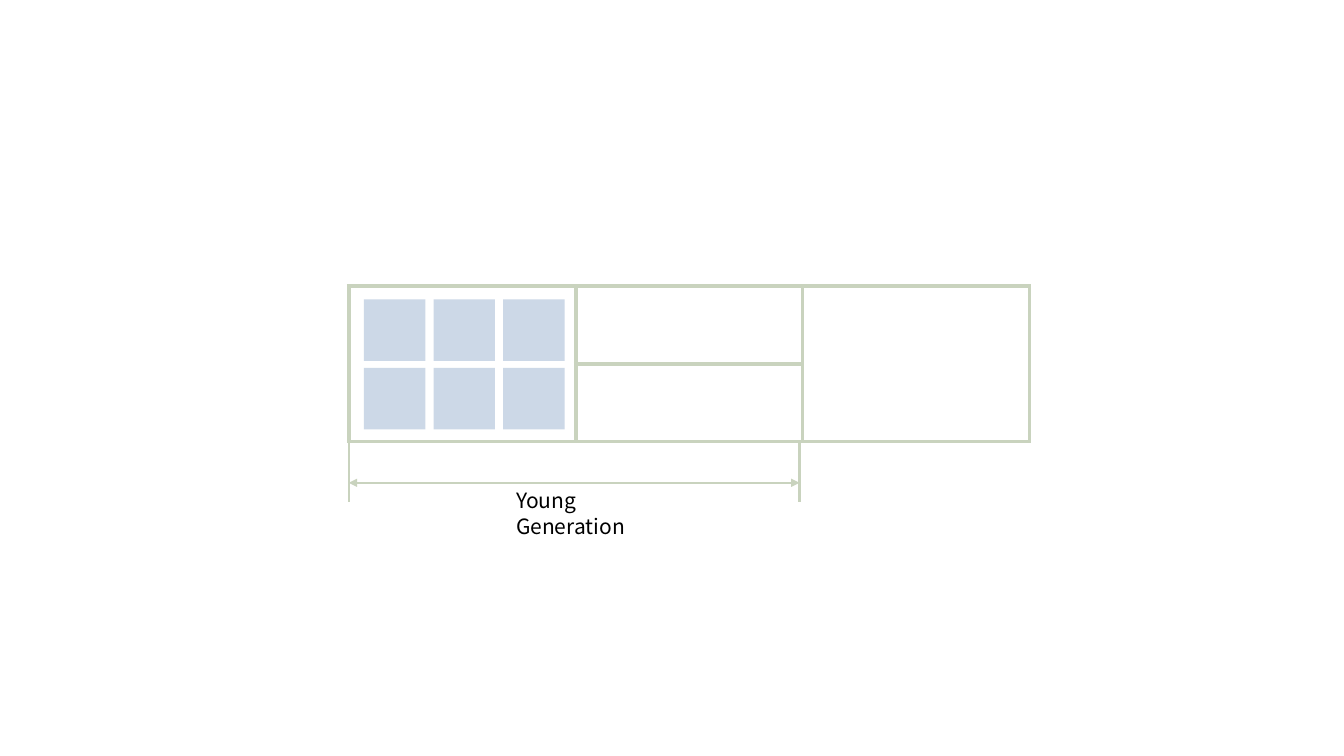
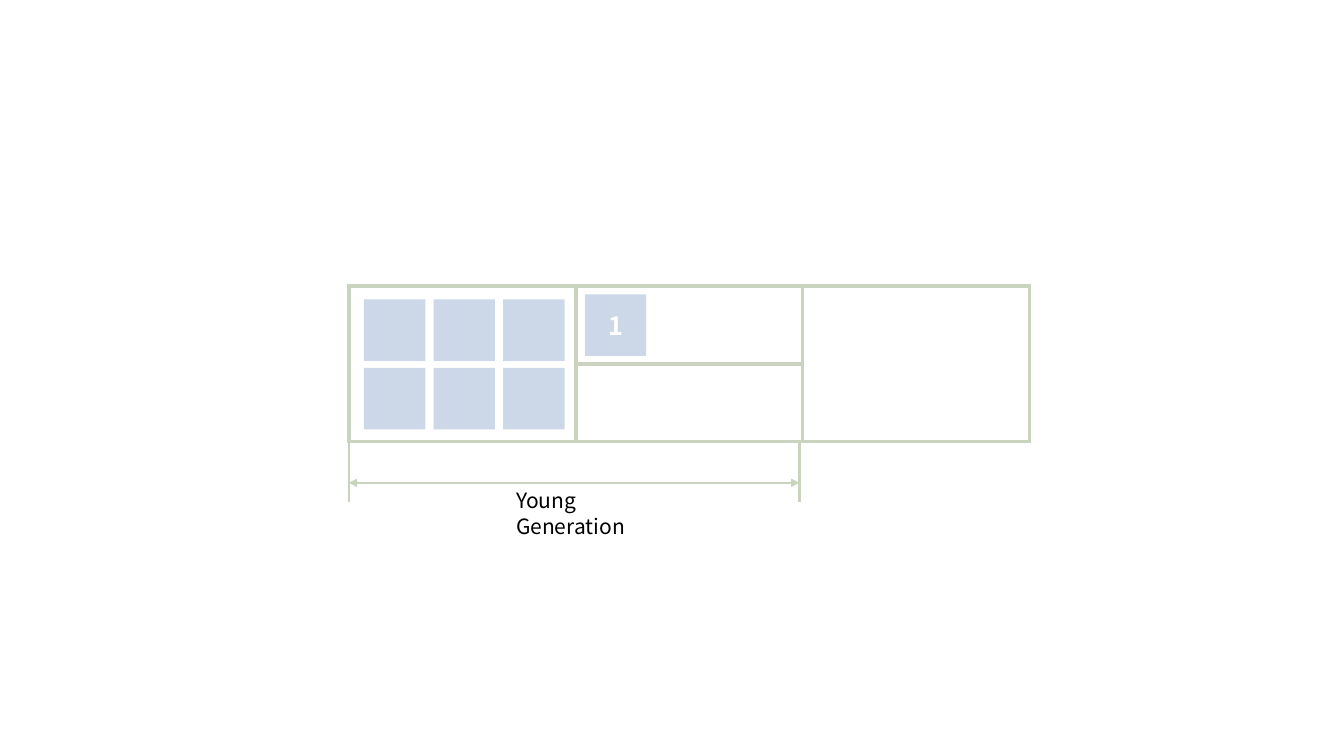
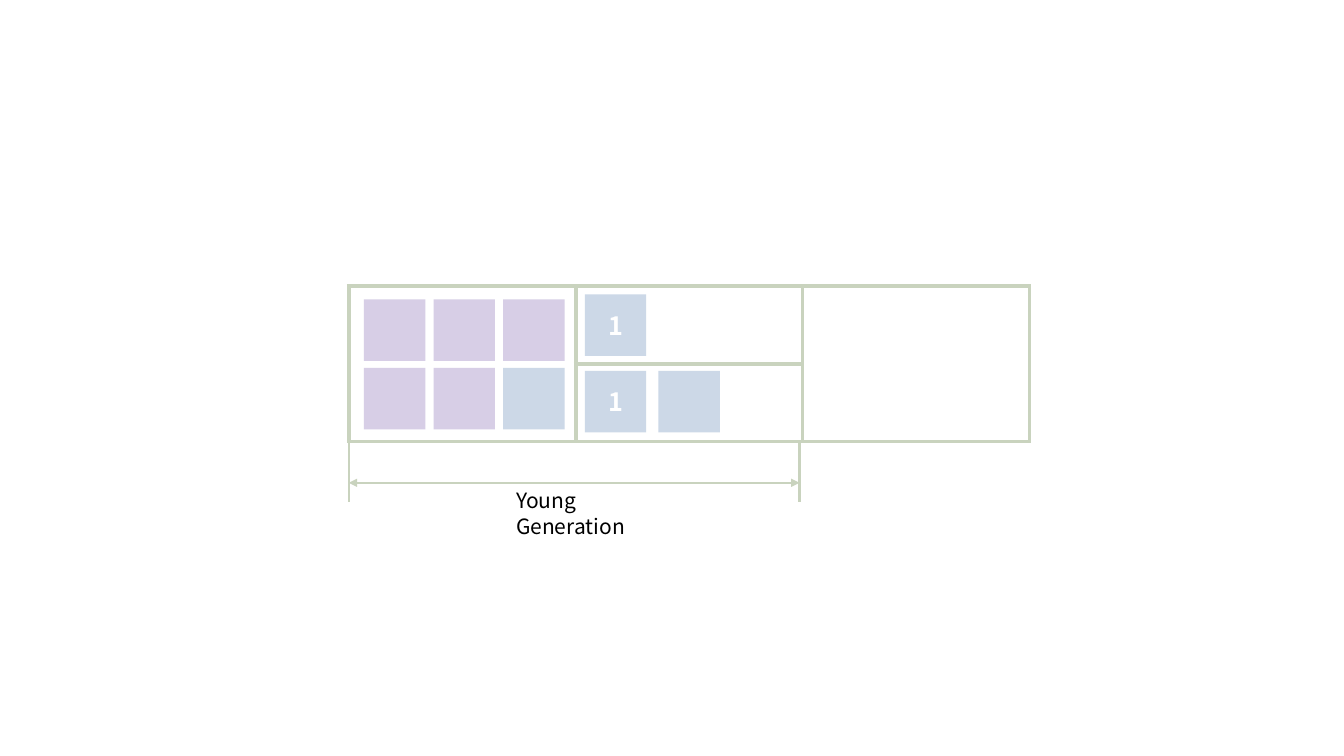
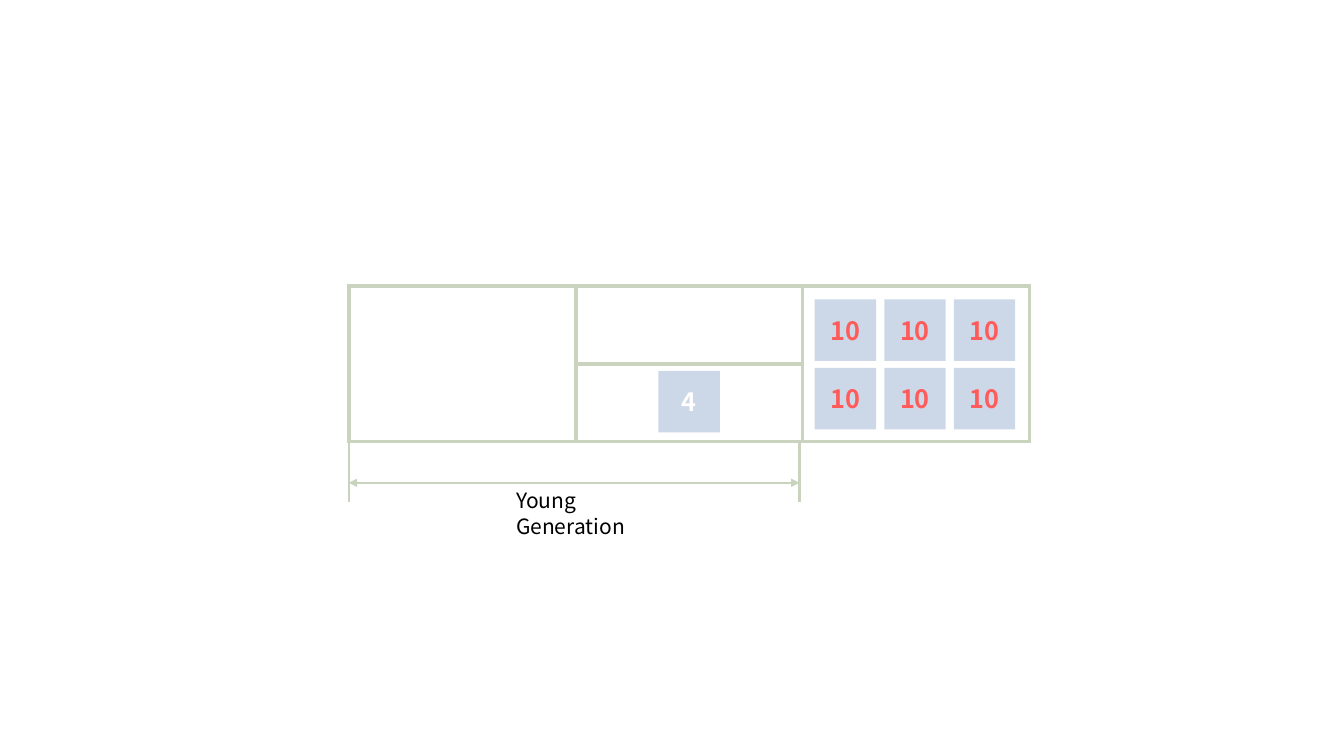
"""Draws four steps of objects moving through heap generations."""
from itertools import product

from lxml.etree import SubElement as Sub
from pptx import Presentation
from pptx.dml.color import RGBColor as RGB
from pptx.enum.shapes import MSO_CONNECTOR as Link, MSO_SHAPE as Form
from pptx.enum.text import MSO_ANCHOR as Anchor, PP_ALIGN as Align
from pptx.oxml.ns import qn
from pptx.util import Inches as In, Pt

HUES = {"rule": "C9D3BE", "live": "CCD8E7", "dead": "D7CEE6",
        "white": "FFFFFF", "red": "FF5B5B", "black": "000000"}
FACE = "Noto Sans CJK KR"
LABEL = {"name": FACE, "size": Pt(15), "bold": False}
COUNT = {"name": FACE, "size": Pt(18), "bold": True}

LEFT, TOP, COL, ROW = 3.46, 2.84, 2.25, 0.77
SIDE = 0.61
ZONES = {"eden": (LEFT + 0.15, TOP + 0.13, 0.69, 0.68),
         "pair": (LEFT + COL + 0.09, TOP + 0.08, 0.73, 0.76),
         "old": (LEFT + 2 * COL + 0.12, TOP + 0.13, 0.69, 0.68)}
GRID = list(product(range(2), range(3)))


def hue(key):
    """Return the named colour."""
    return RGB.from_string(HUES[key])


def write(frame, text, style, ink):
    """Put one styled run of text in a frame."""
    run = frame.paragraphs[0].add_run()
    run.text = text
    for key, value in style.items():
        setattr(run.font, key, value)
    run.font.color.rgb = hue(ink)


def edge(cell):
    """Give a cell its four borders and no fill."""
    props = cell._tc.get_or_add_tcPr()
    for tag in ("a:lnL", "a:lnR", "a:lnT", "a:lnB"):
        line = Sub(props, qn(tag), w=str(Pt(3)))
        fill = Sub(line, qn("a:solidFill"))
        Sub(fill, qn("a:srgbClr"), val=HUES["rule"])
    cell.fill.background()


def heap(slide):
    """Draw the table of generations, with the middle column split."""
    table = slide.shapes.add_table(
        2, 3, In(LEFT), In(TOP), In(3 * COL), In(2 * ROW)).table
    for key in ("first_row", "horz_banding"):
        setattr(table, key, False)
    for col in (0, 2):
        table.cell(0, col).merge(table.cell(1, col))
    for row, col in GRID:
        edge(table.cell(row, col))


def rule(slide, start, end, tips=False):
    """Draw a thin line, with arrowheads on both ends if asked."""
    link = slide.shapes.add_connector(
        Link.STRAIGHT, *[In(n) for n in (*start, *end)])
    link.line.color.rgb = hue("rule")
    link.line.width = Pt(1.5)
    if tips:
        for tag in ("a:headEnd", "a:tailEnd"):
            Sub(link.line._get_or_add_ln(), qn(tag), type="triangle")
    Sub(link._element.spPr, qn("a:effectLst"))


def span(slide):
    """Mark the width of the young generation."""
    right, base = LEFT + 2 * COL - 0.03, TOP + 2 * ROW
    for x in (LEFT, right):
        rule(slide, (x, base + 0.02), (x, base + 0.6))
    rule(slide, (LEFT, base + 0.41), (right, base + 0.41), tips=True)
    box = slide.shapes.add_textbox(
        In(5.02), In(base + 0.41), In(1.73), In(0.35))
    box.text_frame.word_wrap = True
    write(box.text_frame, "Young Generation", LABEL, "black")


def block(slide, zone, spot, tint="live", text="", ink="white"):
    """Draw one object at a row and column of a zone."""
    x, y, wide, high = ZONES[zone]
    row, col = spot
    shape = slide.shapes.add_shape(
        Form.RECTANGLE, In(x + col * wide), In(y + row * high),
        In(SIDE), In(SIDE))
    shape.shadow.inherit = False
    shape.fill.solid()
    shape.fill.fore_color.rgb = hue(tint)
    shape.line.fill.background()
    if text:
        frame = shape.text_frame
        frame.vertical_anchor = Anchor.MIDDLE
        frame.paragraphs[0].alignment = Align.CENTER
        write(frame, text, COUNT, ink)


def main():
    """Build and save the deck."""
    deck = Presentation()
    deck.slide_width, deck.slide_height = In(13.33), In(7.5)
    fresh = [("eden", spot) for spot in GRID]
    first = ("pair", (0, 0), "live", "1")
    swept = [("eden", spot, "dead") for spot in GRID[:-1]]
    steps = [
        fresh,
        [first, *fresh],
        [first, *swept, ("eden", GRID[-1]),
         ("pair", (1, 0), "live", "1"), ("pair", (1, 1))],
        [("pair", (1, 1), "live", "4"),
         *[("old", spot, "live", "10", "red") for spot in GRID]],
    ]
    for step in steps:
        slide = deck.slides.add_slide(deck.slide_layouts[6])
        heap(slide)
        span(slide)
        for item in step:
            block(slide, *item)
    deck.save("out.pptx")


main()
